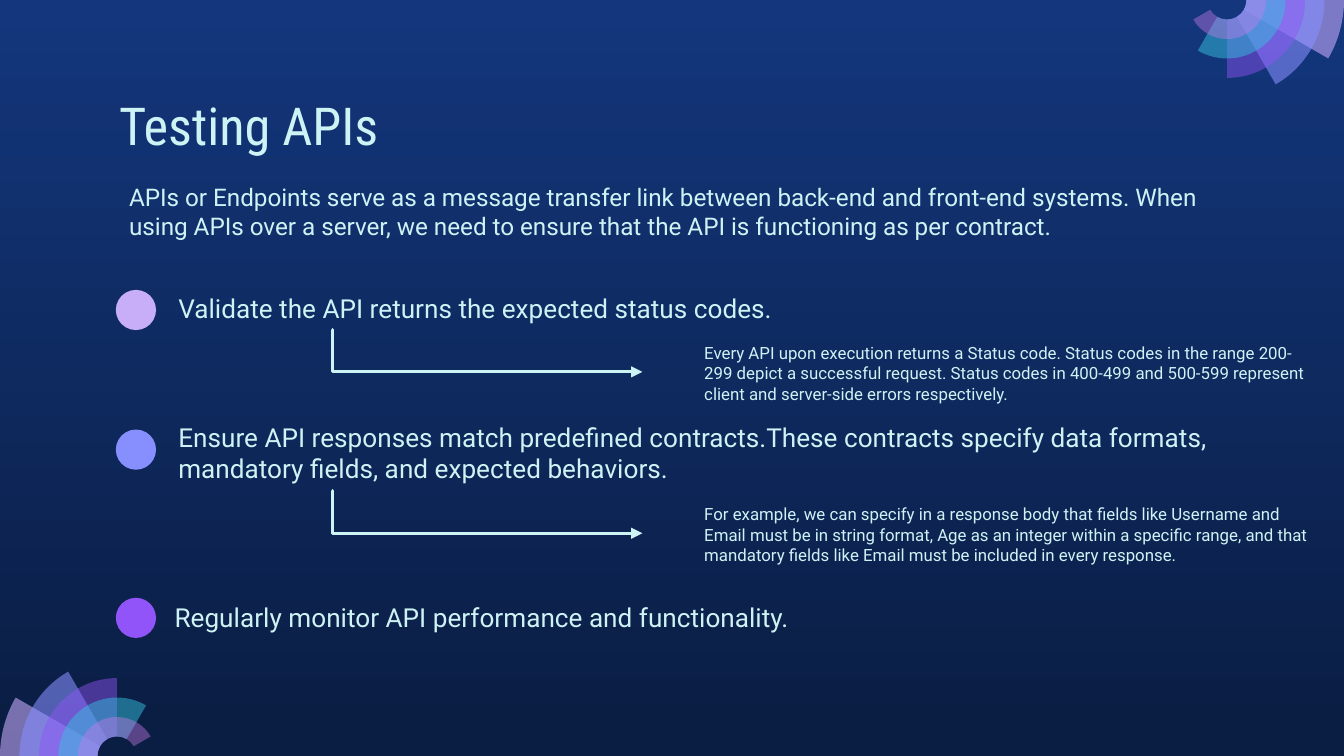
from itertools import pairwise
from math import cos, radians, sin, tan

from lxml.etree import SubElement
from pptx import Presentation
from pptx.dml.color import RGBColor
from pptx.enum.shapes import MSO_CONNECTOR as Connector, MSO_SHAPE as Shape
from pptx.enum.text import MSO_ANCHOR as Anchor, PP_ALIGN as Align
from pptx.oxml.ns import qn
from pptx.util import Cm, Pt

WIDTH, HEIGHT = 25.4, 14.29
INK = "CEF3F5"
BACKGROUND = ("13367C", "0A1D42")
TITLE = "Testing APIs"
INTRO = (
    "APIs or Endpoints serve as a message transfer link between back-end and front-end systems. "
    "When using APIs over a server, we need to ensure that the API is functioning as per contract."
)
POINTS = [
    {"text": "Validate the API returns the expected status codes.",
     "left": 3.12, "top": 5.28, "dot_top": 5.48, "color": "C8AEF8"},
    {"text": "Ensure API responses match predefined contracts."
             "These contracts specify data formats, mandatory fields, and expected behaviors.",
     "left": 3.12, "top": 7.71, "dot_top": 8.12, "color": "878FFF"},
    {"text": "Regularly monitor API performance and functionality.",
     "left": 3.05, "top": 11.12, "dot_top": 11.3, "color": "9154F8"},
]
NOTES = [
    (6.23, "Every API upon execution returns a Status code. Status codes in the range 200-299 depict "
           "a successful request. Status codes in 400-499 and 500-599 represent client and "
           "server-side errors respectively."),
    (9.28, "For example, we can specify in a response body that fields like Username and Email must "
           "be in string format, Age as an integer within a specific range, and that mandatory "
           "fields like Email must be included in every response."),
]
FAN = [("C8ACFD", 58), ("878FFF", 58), ("9154F8", 46), ("35C2DF", 49), ("CA7BEB", 42)]
FAN_RADIUS = 2.21
RING = FAN_RADIUS / 6
FAN_CENTERS = [(FAN_RADIUS, HEIGHT, 1), (WIDTH - FAN_RADIUS, 0, -1)]


def rgb(value):
    return RGBColor.from_string(value)


def paint(shape, color, opacity=100):
    shape.shadow.inherit = False
    shape.line.fill.background()
    shape.fill.solid()
    shape.fill.fore_color.rgb = rgb(color)
    if opacity < 100:
        color_element = shape.fill._xPr.find(".//" + qn("a:srgbClr"))
        SubElement(color_element, qn("a:alpha"), val=str(opacity * 1000))


def write(shape, text, size, font_name="Roboto"):
    frame = shape.text_frame
    frame.text = text
    frame.word_wrap = True
    frame.vertical_anchor = Anchor.TOP
    frame.margin_left = frame.margin_right = Cm(0.25)
    frame.margin_top = frame.margin_bottom = Cm(0.25)
    paragraph = frame.paragraphs[0]
    paragraph.alignment = Align.LEFT
    paragraph.font.size = Pt(size)
    paragraph.font.name = font_name
    paragraph.font.color.rgb = rgb(INK)


def add_text(slide, text, size, left, top, width, height=1.6):
    write(slide.shapes.add_textbox(Cm(left), Cm(top), Cm(width), Cm(height)), text, size)


def add_sector(slide, center, outer_radius, end_angle):
    center_x, center_y, direction = center

    def locate(radius, angle, tangent=0):
        angle = radians(angle)
        x = radius * (cos(angle) - tangent * sin(angle))
        y = radius * (sin(angle) + tangent * cos(angle))
        return Cm(center_x + direction * x), Cm(center_y - direction * y)

    angles = [180, 90, end_angle] if end_angle < 90 else [180, end_angle]
    corners = [(outer_radius, angle) for angle in angles]
    corners += [(RING, angle) for angle in reversed(angles)]
    points = [locate(*corner) for corner in corners]
    builder = slide.shapes.build_freeform(*points[0])
    builder.add_line_segments(points[1:], close=True)
    sector = builder.convert_to_shape()

    edges = list(sector._element.iter(qn("a:lnTo")))
    for edge, ((radius, start), (next_radius, end)) in zip(edges, pairwise(corners)):
        if radius != next_radius:
            continue
        handle = 4 / 3 * tan(radians(end - start) / 4)
        curve = SubElement(edge.getparent(), qn("a:cubicBezTo"))
        for x, y in (locate(radius, start, handle), locate(radius, end, -handle),
                     locate(radius, end)):
            SubElement(curve, qn("a:pt"), x=str(x - sector.left), y=str(y - sector.top))
        edge.getparent().replace(edge, curve)
    return sector


def add_arrow(slide, top):
    arrow = slide.shapes.add_connector(
        Connector.ELBOW, Cm(6.27), Cm(top), Cm(12.14), Cm(top + 0.8))
    arrow.line.color.rgb = rgb(INK)
    arrow.line.width = Pt(1.5)
    SubElement(arrow.line._get_or_add_ln(), qn("a:tailEnd"), type="triangle")
    properties = arrow._element.spPr
    SubElement(properties, qn("a:effectLst"))
    adjustments = properties.prstGeom.get_or_add_avLst()
    SubElement(adjustments, qn("a:gd"), name="adj1", fmla="val 300")


def main():
    presentation = Presentation()
    presentation.slide_width, presentation.slide_height = Cm(WIDTH), Cm(HEIGHT)
    slide = presentation.slides.add_slide(presentation.slide_layouts[5])

    background = slide.background.fill
    background.gradient()
    background.gradient_angle = 270
    for stop, color in zip(background.gradient_stops, BACKGROUND):
        stop.color.rgb = rgb(color)

    for center in FAN_CENTERS:
        for index, (color, opacity) in enumerate(FAN):
            sector = add_sector(slide, center, (6 - index) * RING, 150 - 30 * index)
            paint(sector, color, opacity)

    title = slide.shapes.title
    title.left, title.top, title.width, title.height = Cm(2), Cm(1.52), Cm(21.41), Cm(1.6)
    write(title, TITLE, 28, "Roboto Condensed")
    add_text(slide, INTRO, 13, 2.19, 3.19, 21.41)

    for point in POINTS:
        dot = slide.shapes.add_shape(
            Shape.OVAL, Cm(2.19), Cm(point["dot_top"]), Cm(0.76), Cm(0.76))
        paint(dot, point["color"])
        add_text(slide, point["text"], 14, point["left"], point["top"], 21.1)

    for top, text in NOTES:
        add_arrow(slide, top)
        add_text(slide, text, 9, 13.06, top, 12.07)

    presentation.save("out.pptx")


if __name__ == "__main__":
    main()
